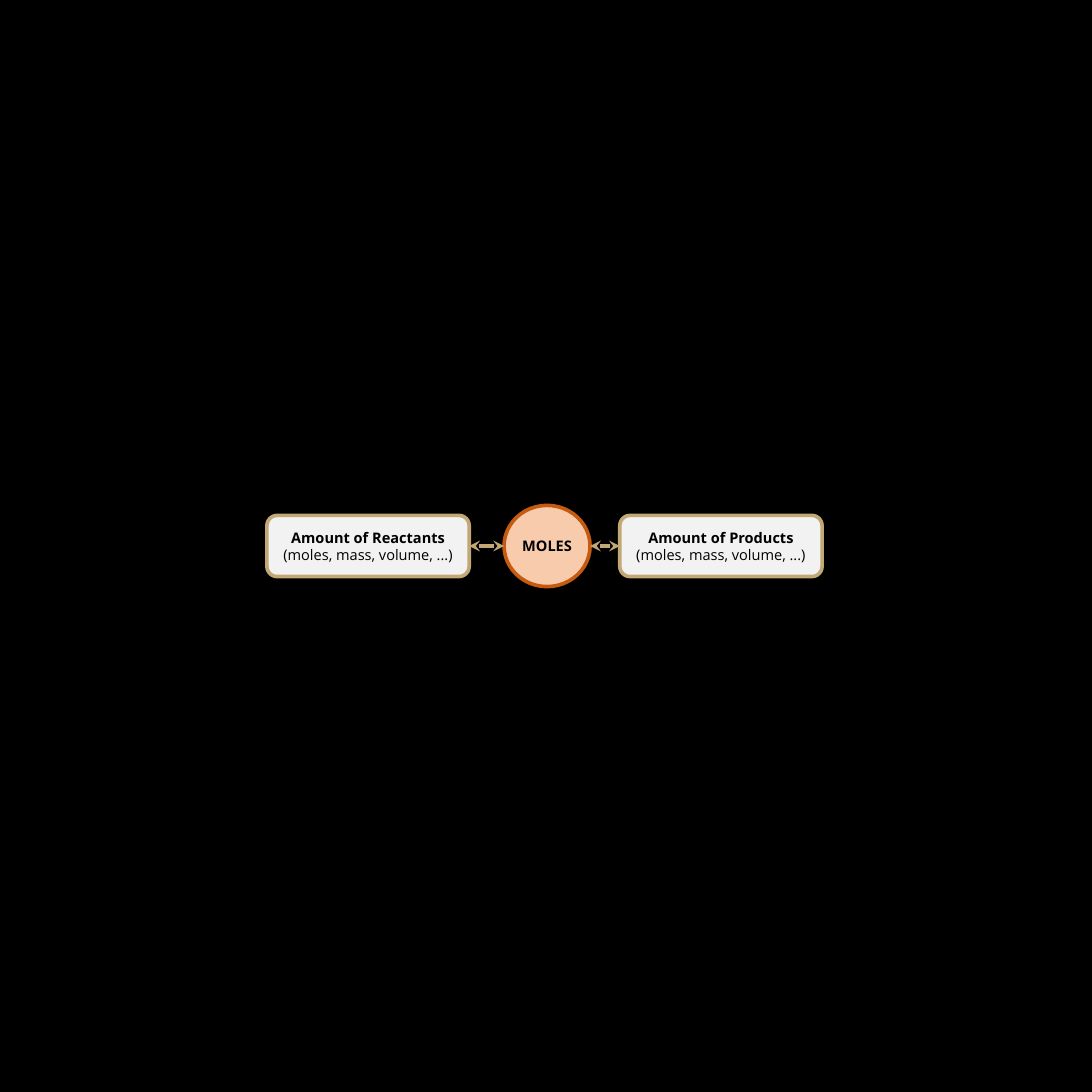
from lxml.etree import SubElement
from pptx import Presentation
from pptx.dml.color import RGBColor
from pptx.enum.shapes import MSO_CONNECTOR as Connector, MSO_SHAPE as Shape
from pptx.enum.text import MSO_ANCHOR as Anchor, PP_ALIGN as Align
from pptx.oxml.ns import qn
from pptx.util import Pt

SIDE = 1800
MIDDLE = SIDE / 2
BOX_WIDTH, BOX_HEIGHT = 333.4, 100.8
REACTANTS_LEFT, PRODUCTS_LEFT = 440, 1021.7
MOLES_LEFT, MOLES_WIDTH, MOLES_HEIGHT = 830.9, 141.8, 133.9
STROKE = 6
TAN = "C1A875"
UNITS = "(moles, mass, volume, ...)"


def color(value):
    return RGBColor.from_string(value)


def add_node(page, kind, left, width, height, fill, outline, lines):
    node = page.shapes.add_shape(
        kind, Pt(left), Pt(MIDDLE - height / 2), Pt(width), Pt(height))
    node.shadow.inherit = False
    node.fill.solid()
    node.fill.fore_color.rgb = color(fill)
    node.line.color.rgb = color(outline)
    node.line.width = Pt(STROKE)
    frame = node.text_frame
    frame.word_wrap = True
    frame.vertical_anchor = Anchor.MIDDLE
    frame.text = "\n".join(lines)
    for index, para in enumerate(frame.paragraphs):
        para.alignment = Align.CENTER
        for span in para.runs:
            span.font.name = "Open Sans"
            span.font.size = Pt(24)
            span.font.bold = index == 0
            span.font.color.rgb = color("000000")


def add_double_arrow(page, start, end):
    arrow = page.shapes.add_connector(
        Connector.STRAIGHT, Pt(start), Pt(MIDDLE), Pt(end), Pt(MIDDLE))
    arrow.line.color.rgb = color(TAN)
    arrow.line.width = Pt(STROKE)
    outline = arrow.line._get_or_add_ln()
    for tip in ("a:headEnd", "a:tailEnd"):
        SubElement(outline, qn(tip), type="stealth")
    SubElement(arrow._element.spPr, qn("a:effectLst"))


def main():
    deck = Presentation()
    deck.slide_width = deck.slide_height = Pt(SIDE)
    page = deck.slides.add_slide(deck.slide_layouts[6])
    page.background.fill.solid()
    page.background.fill.fore_color.rgb = color("000000")

    for left, title in ((REACTANTS_LEFT, "Amount of Reactants"),
                        (PRODUCTS_LEFT, "Amount of Products")):
        add_node(page, Shape.ROUNDED_RECTANGLE, left, BOX_WIDTH, BOX_HEIGHT,
                 "F2F2F2", TAN, [title, UNITS])
    add_node(page, Shape.OVAL, MOLES_LEFT, MOLES_WIDTH, MOLES_HEIGHT,
             "F8CBAD", "C55A11", ["MOLES"])

    add_double_arrow(page, MOLES_LEFT + MOLES_WIDTH, PRODUCTS_LEFT)
    add_double_arrow(page, REACTANTS_LEFT + BOX_WIDTH, MOLES_LEFT)
    deck.save("out.pptx")


if __name__ == "__main__":
    main()
